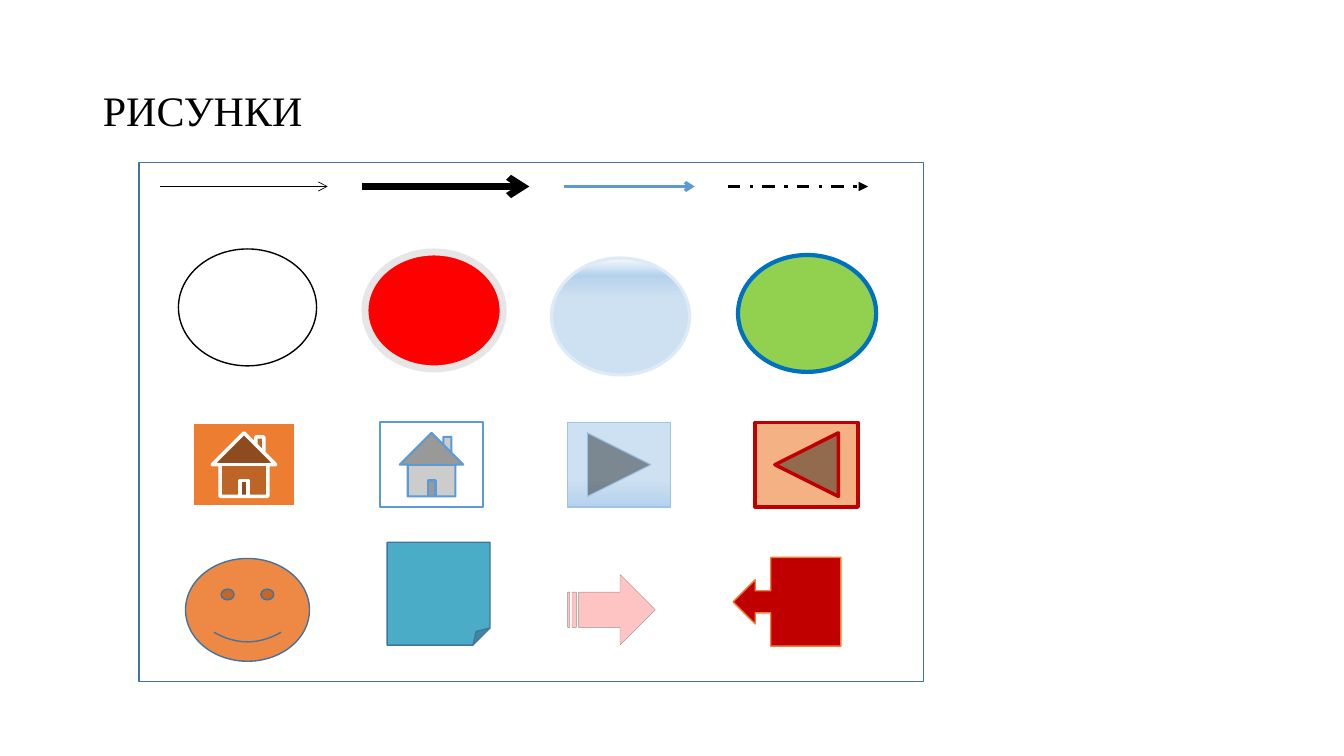
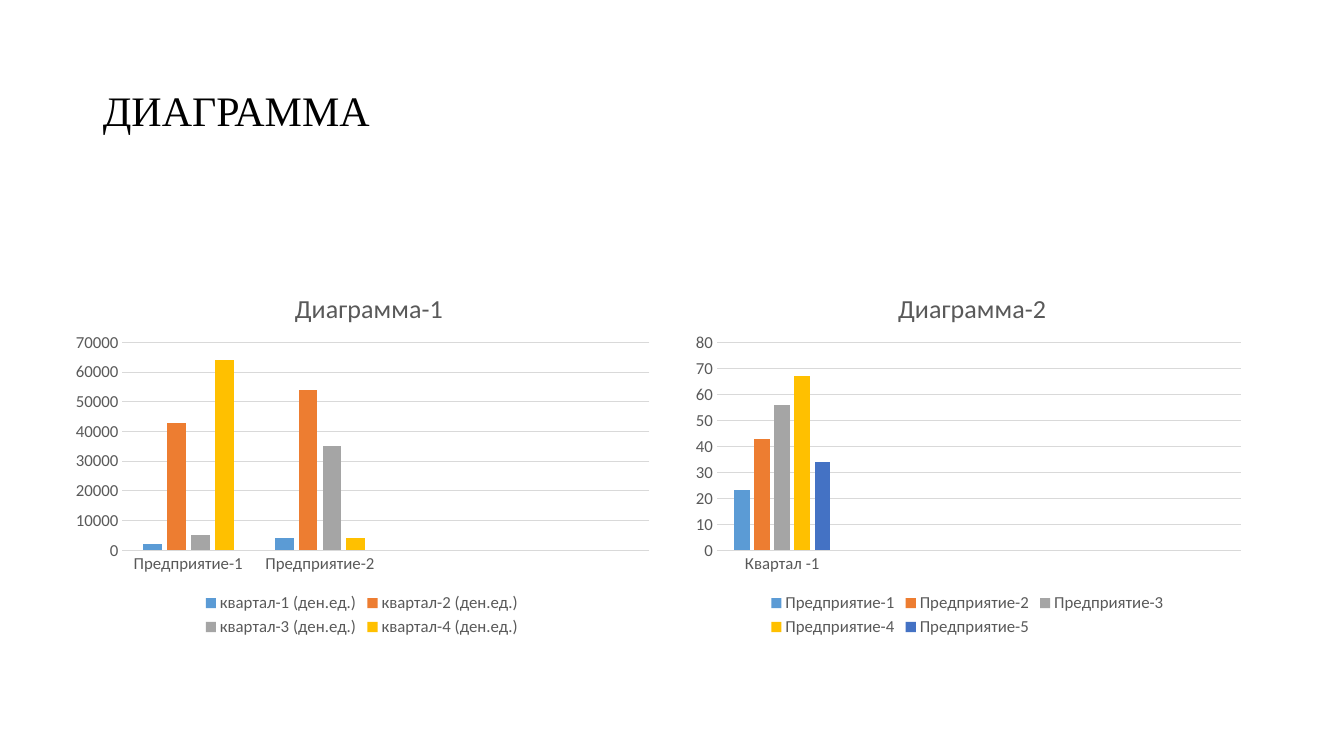
from dataclasses import dataclass

from lxml import etree
from pptx import Presentation
from pptx.chart.data import CategoryChartData
from pptx.dml.color import RGBColor
from pptx.enum.chart import XL_CHART_TYPE, XL_LEGEND_POSITION, XL_TICK_MARK
from pptx.enum.dml import MSO_LINE
from pptx.enum.shapes import MSO_CONNECTOR, MSO_SHAPE
from pptx.enum.text import MSO_ANCHOR, MSO_AUTO_SIZE, PP_ALIGN
from pptx.oxml.ns import qn
from pptx.util import Inches, Pt

RECTANGLE, OVAL = MSO_SHAPE.RECTANGLE, MSO_SHAPE.OVAL
HOME, BACK = MSO_SHAPE.ACTION_BUTTON_HOME, MSO_SHAPE.ACTION_BUTTON_BACK_OR_PREVIOUS
SMILEY, NOTE = MSO_SHAPE.SMILEY_FACE, MSO_SHAPE.FOLDED_CORNER
STRIPED_ARROW, CALLOUT = MSO_SHAPE.STRIPED_RIGHT_ARROW, MSO_SHAPE.RIGHT_ARROW_CALLOUT
STRAIGHT = MSO_CONNECTOR.STRAIGHT
DASH_DOT = MSO_LINE.DASH_DOT
COLUMNS = XL_CHART_TYPE.COLUMN_CLUSTERED
BOTTOM = XL_LEGEND_POSITION.BOTTOM
NO_TICK = XL_TICK_MARK.NONE
MIDDLE, LEFT, NO_FIT = MSO_ANCHOR.MIDDLE, PP_ALIGN.LEFT, MSO_AUTO_SIZE.NONE
TITLE_ONLY = 5


@dataclass(frozen=True)
class Theme:
    """Colours, fonts and type sizes of the deck."""
    black: str = "000000"
    white: str = "FFFFFF"
    outline: str = "43739E"
    blue: str = "5B9BD5"
    deep_blue: str = "0070C0"
    sky: str = "9DC3E6"
    ice: str = "DEEBF7"
    orange: str = "ED7D31"
    light_orange: str = "EE8137"
    peach: str = "F4B183"
    red: str = "FF0000"
    dark_red: str = "C00000"
    pink: str = "FEC4C3"
    green: str = "92D050"
    teal: str = "4AACC7"
    pale_grey: str = "E7E6E6"
    grid: str = "D9D9D9"
    chart_text: str = "595959"
    series: tuple = ("5B9BD5", "ED7D31", "A5A5A5", "FFC000", "4472C4")
    gloss: tuple = ("F7FAFD", "B5D2EC", "CEE1F2")
    title_font: str = "Times New Roman"
    chart_font: str = "Calibri"
    title_size: float = 30
    chart_title_size: float = 18.6
    chart_size: float = 12


THEME = Theme()


def rgb(code):
    """Turn a hex code into a colour."""
    return RGBColor.from_string(code)


def set_alpha(fill_parent, percent):
    """Set the opacity of the solid fill directly inside an element."""
    color = fill_parent.find(qn("a:solidFill")).find(qn("a:srgbClr"))
    etree.SubElement(color, qn("a:alpha"), val=str(percent * 1000))


def set_layout(parent, index, **fractions):
    """Place a chart part by fractions of the chart's size."""
    for old in parent.findall(qn("c:layout")):
        parent.remove(old)
    layout = etree.Element(qn("c:layout"))
    manual = etree.SubElement(layout, qn("c:manualLayout"))
    if "w" in fractions:
        etree.SubElement(manual, qn("c:layoutTarget"), val="inner")
    for axis in "xy":
        etree.SubElement(manual, qn(f"c:{axis}Mode"), val="edge")
    for name, value in fractions.items():
        etree.SubElement(manual, qn(f"c:{name}"), val=str(value))
    parent.insert(index, layout)


class SlideBuilder:
    """Holds the deck, its style and the current page."""

    def __init__(self, theme):
        """Start a widescreen deck."""
        self.theme = theme
        self.deck = Presentation()
        self.deck.slide_width, self.deck.slide_height = Inches(13.33), Inches(7.5)
        self.page = None

    def add_page(self, title):
        """Add a page with its title."""
        self.page = self.deck.slides.add_slide(self.deck.slide_layouts[TITLE_ONLY])
        box = self.page.shapes.title
        box.left, box.top = Inches(0.92), Inches(0.4)
        box.width, box.height = Inches(11.5), Inches(1.45)
        frame = box.text_frame
        frame.text = title
        frame.vertical_anchor, frame.auto_size = MIDDLE, NO_FIT
        para = frame.paragraphs[0]
        para.alignment, para.line_spacing = LEFT, 0.9
        self.style_font(para.font, self.theme.title_font, self.theme.title_size,
                        self.theme.black)

    def style_font(self, font, name, size, color):
        """Set face, size and colour of a font."""
        font.name, font.size, font.bold = name, Pt(size), False
        font.color.rgb = rgb(color)

    def style_line(self, line, color, width):
        """Set colour and width of a line."""
        line.color.rgb = rgb(color)
        line.width = Pt(width)

    def add_arrow(self, left, right, y, color, width, head="arrow", dash=None):
        """Draw a horizontal arrow pointing right."""
        arrow = self.page.shapes.add_connector(
            STRAIGHT, Inches(left), Inches(y), Inches(right), Inches(y))
        self.style_line(arrow.line, color, width)
        if dash is not None:
            arrow.line.dash_style = dash
        properties = arrow.element.spPr
        etree.SubElement(properties.find(qn("a:ln")), qn("a:tailEnd"), type=head)
        etree.SubElement(properties, qn("a:effectLst"))

    def add_figure(self, kind, place, fill, line, width, stops=None,
                   rotation=0, fill_alpha=None, line_alpha=None):
        """Draw a preset shape; a tuple of colours makes a vertical gradient."""
        figure = self.page.shapes.add_shape(kind, *map(Inches, place))
        figure.shadow.inherit = False
        figure.rotation = rotation
        if fill is None:
            figure.fill.background()
        elif stops:
            self.fill_gradient(figure, fill, stops)
        else:
            figure.fill.solid()
            figure.fill.fore_color.rgb = rgb(fill)
        self.style_line(figure.line, line, width)
        properties = figure.element.spPr
        if fill_alpha:
            set_alpha(properties, fill_alpha)
        if line_alpha:
            set_alpha(properties.find(qn("a:ln")), line_alpha)

    def fill_gradient(self, figure, colors, stops):
        """Fill a shape from top to bottom with colours at percent stops."""
        figure.fill.gradient()
        figure.fill.gradient_angle = 270
        stop_list = figure.element.spPr.find(qn("a:gradFill")).find(qn("a:gsLst"))
        for old in list(stop_list):
            stop_list.remove(old)
        for color, stop in zip(colors, stops):
            item = etree.SubElement(stop_list, qn("a:gs"), pos=str(stop * 1000))
            etree.SubElement(item, qn("a:srgbClr"), val=color)

    def add_columns(self, place, title, categories, series, title_x, plot_x, plot_width):
        """Draw a clustered column chart with title and legend."""
        theme = self.theme
        data = CategoryChartData()
        data.categories = categories
        for name, values in series:
            data.add_series(name, values)
        chart = self.page.shapes.add_chart(COLUMNS, *map(Inches, place), data).chart
        self.style_font(chart.font, theme.chart_font, theme.chart_size, theme.chart_text)

        chart.has_title = True
        frame = chart.chart_title.text_frame
        frame.text = title
        self.style_font(frame.paragraphs[0].font, theme.chart_font,
                        theme.chart_title_size, theme.chart_text)
        chart.has_legend = True
        chart.legend.position, chart.legend.include_in_layout = BOTTOM, False

        plot = chart.plots[0]
        plot.gap_width, plot.overlap, plot.vary_by_categories = 219, -27, False
        for column, color in zip(plot.series, theme.series):
            column.format.fill.solid()
            column.format.fill.fore_color.rgb = rgb(color)
            column.invert_if_negative = False

        for axis in (chart.category_axis, chart.value_axis):
            axis.major_tick_mark = axis.minor_tick_mark = NO_TICK
        self.style_line(chart.category_axis.format.line, theme.grid, 0.75)
        chart.value_axis.format.line.fill.background()
        chart.value_axis.has_major_gridlines = True
        self.style_line(chart.value_axis.major_gridlines.format.line, theme.grid, 0.75)

        root = chart.element.find(qn("c:chart"))
        set_layout(root.find(qn("c:title")), 1, x=title_x, y=0.06)
        set_layout(root.find(qn("c:plotArea")), 0,
                   x=plot_x, y=0.21, w=plot_width, h=0.55)


def build_drawings(builder):
    """Build the page of arrows and preset shapes."""
    theme = builder.theme
    builder.add_page("РИСУНКИ")
    builder.add_figure(RECTANGLE, (1.38, 1.61, 7.78, 5.15), None, theme.outline, 1)

    arrows = [
        (1.59, 3.25, theme.black, 0.5, "arrow", None),
        (3.59, 5.25, theme.black, 4.75, "arrow", None),
        (5.59, 6.89, theme.blue, 2.25, "arrow", None),
        (7.22, 8.61, theme.black, 2.25, "triangle", DASH_DOT),
    ]
    for left, right, color, width, head, dash in arrows:
        builder.add_arrow(left, right, 1.85, color, width, head, dash)

    ovals = [
        (2.47, theme.white, theme.black, 1, None),
        (2.5, theme.red, theme.pale_grey, 5, None),
        (2.56, theme.gloss, theme.ice, 2.25, (0, 15, 35)),
        (2.53, theme.green, theme.deep_blue, 3, None),
    ]
    for column, (top, fill, line, width, stops) in enumerate(ovals):
        place = (1.77 + 1.85 * column, top, 1.37, 1.16)
        builder.add_figure(OVAL, place, fill, line, width, stops)

    buttons = [
        (HOME, theme.orange, theme.white, 2.5, None, 0),
        (HOME, theme.white, theme.blue, 1.5, None, 0),
        (BACK, theme.gloss, theme.sky, 0, (0, 0, 35), 180),
        (BACK, theme.peach, theme.dark_red, 2.5, None, 0),
    ]
    for column, (kind, fill, line, width, stops, rotation) in enumerate(buttons):
        place = (1.91 + 1.86 * column, 4.19, 1.02, 0.84)
        builder.add_figure(kind, place, fill, line, width, stops, rotation)

    builder.add_figure(SMILEY, (1.84, 5.54, 1.23, 1.02), theme.orange,
                       theme.outline, 1, fill_alpha=90)
    builder.add_figure(NOTE, (3.84, 5.38, 1.02, 1.02), theme.teal, theme.outline, 1)
    builder.add_figure(STRIPED_ARROW, (5.63, 5.7, 0.87, 0.7), theme.pink,
                       theme.black, 0.25, line_alpha=39)
    builder.add_figure(CALLOUT, (7.27, 5.53, 1.07, 0.88), theme.dark_red,
                       theme.light_orange, 1, rotation=180)


def build_charts(builder):
    """Build the page with the two column charts."""
    builder.add_page("ДИАГРАММА")
    quarters = [(2000, 4000), (43000, 54000), (5000, 35000), (64000, 4000)]
    builder.add_columns(
        (0.62, 2.61, 5.94, 3.75), "Диаграмма-1",
        ["Предприятие-1", "Предприятие-2", "", ""],
        [(f"квартал-{number} (ден.ед.)", (*values, None, None))
         for number, values in enumerate(quarters, 1)],
        title_x=0.38, plot_x=0.1, plot_width=0.88)
    builder.add_columns(
        (6.77, 2.61, 5.65, 3.75), "Диаграмма-2",
        ["Квартал -1", "", "", ""],
        [(f"Предприятие-{number}", (value, None, None, None))
         for number, value in enumerate((23, 43, 56, 67, 34), 1)],
        title_x=0.37, plot_x=0.06, plot_width=0.92)


def main():
    """Build and save the deck."""
    builder = SlideBuilder(THEME)
    build_drawings(builder)
    build_charts(builder)
    builder.deck.save("out.pptx")


main()
